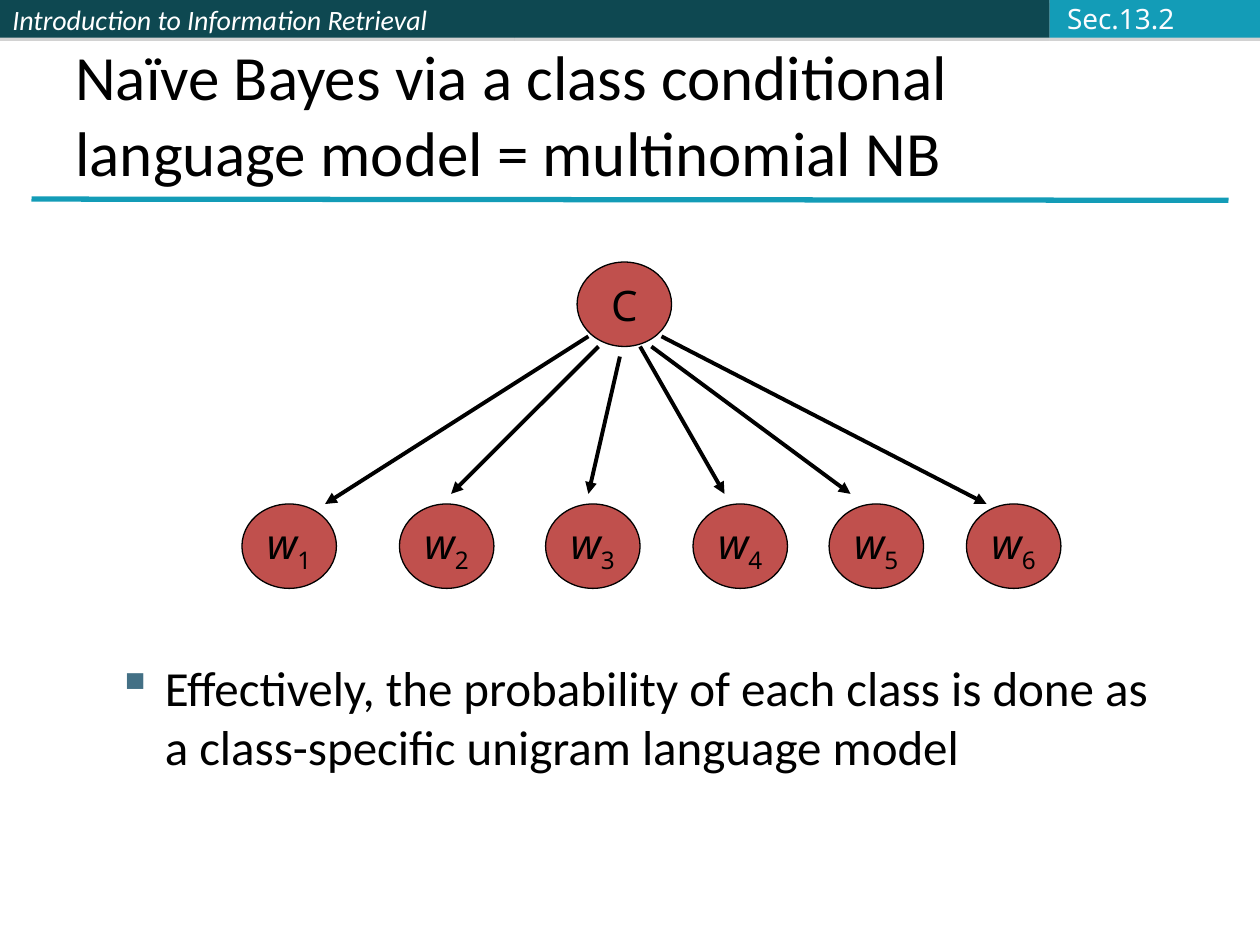
"""Build a slide on naive Bayes as a class conditional language model."""
from lxml import etree
from pptx import Presentation
from pptx import util as u
from pptx.dml.color import RGBColor
from pptx.enum import shapes, text
from pptx.oxml.ns import qn

HUES = {"dark": "0E4851", "teal": "139CB7", "red": "C0504D", "black": "000000",
        "white": "FFFFFF", "pale": "FBFCFF", "slate": "437085", "grey": "808080"}
HEAD = {"name": "Calibri", "size": u.Pt(16), "italic": True}
SEC = {"name": "Noto Sans", "size": u.Pt(16)}
TITLE = {"name": "Calibri", "size": u.Pt(36)}
BODY = {"name": "Calibri", "size": u.Pt(28)}
NODE = {"name": "Noto Sans", "size": u.Pt(24)}
VAR = {**NODE, "italic": True}
FIXED = {"word_wrap": False, "vertical_anchor": text.MSO_ANCHOR.MIDDLE}
MID = {"alignment": text.PP_ALIGN.CENTER}
LEFT = {"alignment": text.PP_ALIGN.LEFT}
BARS = [(0, 4.08, "dark"), (4.08, 4.25, "dark"), (8.33, 1.67, "teal")]
WORDS = [1.92, 3.17, 4.33, 5.5, 6.58, 7.67]
EDGES = [((4.67, 2.67), (2.58, 4)), ((4.75, 2.75), (3.58, 3.92)),
         ((4.92, 2.83), (4.67, 3.92)), ((5.08, 2.75), (5.75, 3.92)),
         ((5.17, 2.75), (6.75, 3.92)), ((5.25, 2.67), (7.83, 4))]


def hue(key):
    """Return the colour for a key."""
    return RGBColor.from_string(HUES[key])


def apply(item, form):
    """Set attributes from a dict of format values."""
    for key, val in form.items():
        setattr(item, key, val)


def sub(root, tag, **attrs):
    """Add an XML child with attributes."""
    node = etree.SubElement(root, qn(tag))
    for key, val in attrs.items():
        node.set(key, val)
    return node


def add_run(para, words, form, ink):
    """Add a formatted run to a paragraph."""
    run = para.add_run()
    run.text = words
    apply(run.font, form)
    run.font.color.rgb = hue(ink)
    return run


def add_form(slide, kind, box, fill):
    """Add a filled preset shape without line or shadow."""
    form = slide.shapes.add_shape(kind, *map(u.Inches, box))
    form.shadow.inherit = False
    form.fill.solid()
    form.fill.fore_color.rgb = hue(fill)
    form.line.fill.background()
    return form


def add_bar(slide, left, width, fill):
    """Add one part of the top band, with a hard shadow."""
    bar = add_form(slide, shapes.MSO_SHAPE.RECTANGLE, (left, 0, width, 0.3), fill)
    list_ = bar._element.spPr.find(qn("a:effectLst"))
    cast = sub(list_, "a:outerShdw", blurRad="0", dist=str(u.Pt(1.8)),
               dir="5400000", rotWithShape="0")
    tint = sub(cast, "a:srgbClr", val=HUES["grey"])
    sub(tint, "a:alpha", val="35000")
    return bar


def add_node(slide, left, top, name, form, index=""):
    """Add a graph node with an optional subscript."""
    node = add_form(slide, shapes.MSO_SHAPE.OVAL, (left, top, 0.75, 0.67), "red")
    node.line.color.rgb = hue("black")
    node.line.width = u.Pt(0.75)
    apply(node.text_frame, FIXED)
    para = node.text_frame.paragraphs[0]
    apply(para, MID)
    add_run(para, name, form, "black")
    if index:
        low = add_run(para, index, NODE, "black")
        low._r.get_or_add_rPr().set("baseline", "-25000")


def add_line(slide, start, end, ink, width, arrow=False):
    """Add a straight line, with an arrowhead if asked."""
    ends = map(u.Inches, (*start, *end))
    line = slide.shapes.add_connector(shapes.MSO_CONNECTOR.STRAIGHT, *ends)
    line.line.color.rgb = hue(ink)
    line.line.width = u.Pt(width)
    if arrow:
        sub(line.line._get_or_add_ln(), "a:tailEnd", type="triangle")
    sub(line._element.spPr, "a:effectLst")


def add_text(slide, box, words, form, ink, frame):
    """Add a text box and return its paragraph."""
    area = slide.shapes.add_textbox(*map(u.Inches, box)).text_frame
    apply(area, frame)
    para = area.paragraphs[0]
    add_run(para, words, form, ink)
    return para


def add_mark(para):
    """Give a paragraph a square bullet and hanging indent."""
    props = para._p.get_or_add_pPr()
    props.set("marL", str(u.Inches(0.38)))
    props.set("indent", str(u.Inches(-0.38)))
    tint = sub(props, "a:buClr")
    sub(tint, "a:srgbClr", val=HUES["slate"])
    sub(props, "a:buChar", char="▪")


def main():
    """Build and save the slide."""
    deck = Presentation()
    deck.slide_width, deck.slide_height = u.Inches(10), u.Inches(7.5)
    slide = deck.slides.add_slide(deck.slide_layouts[6])
    bars = [add_bar(slide, *part) for part in BARS]
    apply(bars[0].text_frame, FIXED | {"word_wrap": True})
    para = bars[0].text_frame.paragraphs[0]
    apply(para, LEFT)
    add_run(para, "Introduction to Information Retrieval", HEAD, "white")
    add_line(slide, (0.25, 1.58), (9.75, 1.59), "teal", 3)
    add_text(slide, (0.5, 0.3, 9, 1.25),
             "Naïve Bayes via a class conditional language model = multinomial NB",
             TITLE, "black",
             {"word_wrap": True, "vertical_anchor": text.MSO_ANCHOR.BOTTOM})
    body = add_text(slide, (0.83, 5.17, 8.5, 2),
                    "Effectively, the probability of each class is done as "
                    "a class-specific unigram language model",
                    BODY, "black", {"word_wrap": True})
    add_mark(body)
    add_node(slide, 4.58, 2.08, "C", NODE)
    for index, left in enumerate(WORDS, 1):
        add_node(slide, left, 4, "w", VAR, str(index))
    for start, end in EDGES:
        add_line(slide, start, end, "black", 2.25, True)
    add_text(slide, (8.37, -0.04, 1.05, 0.37), "Sec.13.2", SEC, "pale",
             FIXED | {"auto_size": text.MSO_AUTO_SIZE.SHAPE_TO_FIT_TEXT})
    deck.save("out.pptx")


if __name__ == "__main__":
    main()
